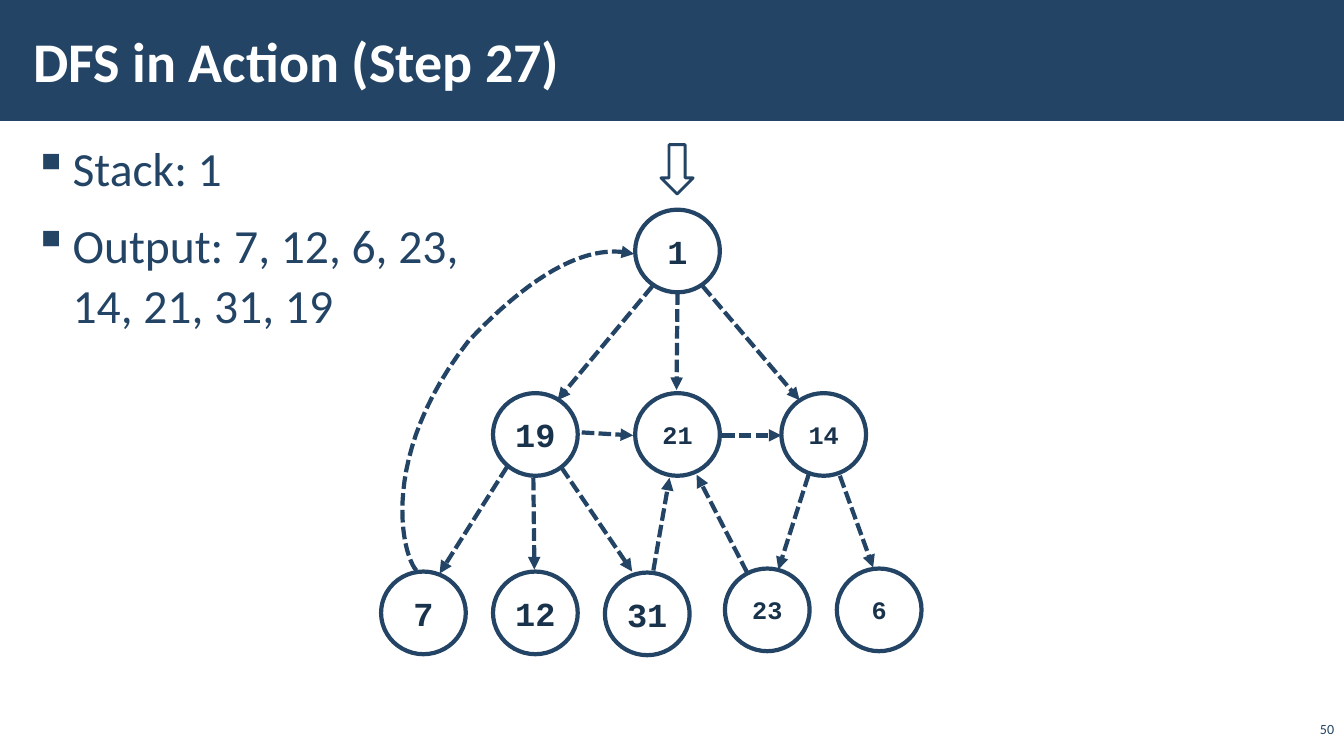
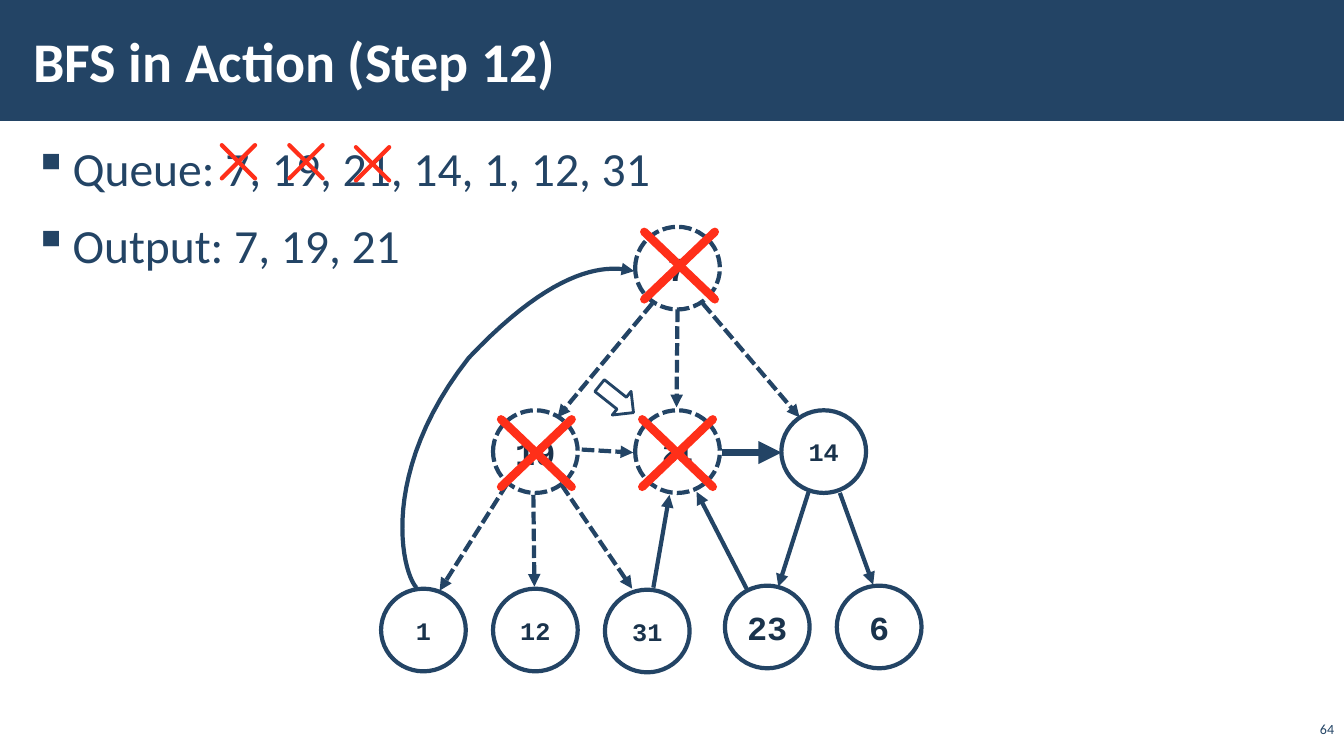
from lxml.etree import SubElement
from pptx import Presentation
from pptx.dml.color import RGBColor
from pptx.enum.dml import MSO_LINE
from pptx.enum.shapes import MSO_CONNECTOR, MSO_SHAPE
from pptx.enum.text import MSO_ANCHOR, PP_ALIGN
from pptx.oxml.ns import qn
from pptx.util import Inches, Pt

NAVY = RGBColor(0x23, 0x44, 0x65)
INK = RGBColor(0x1A, 0x33, 0x4C)
RED = RGBColor(0xFF, 0x2F, 0x19)
WHITE = RGBColor(0xFF, 0xFF, 0xFF)

NODE_WIDTH, NODE_HEIGHT = 0.84, 0.82
NODES = {
    "root": (6.3, 2.08),
    "left": (4.89, 3.9),
    "middle": (6.3, 3.9),
    "right": (7.75, 3.9),
    "leaf 1": (3.78, 5.67),
    "leaf 2": (4.89, 5.67),
    "leaf 3": (6, 5.68),
    "leaf 4": (7.19, 5.64),
    "leaf 5": (8.3, 5.64),
}
EDGES = {
    ("root", "left"): (6.47, 2.84, 5.53, 3.97),
    ("root", "middle"): (6.72, 2.9, 6.71, 3.87),
    ("root", "right"): (6.97, 2.84, 7.93, 3.97),
    ("left", "middle"): (5.77, 4.29, 6.28, 4.32),
    ("left", "leaf 1"): (5.03, 4.63, 4.36, 5.69),
    ("left", "leaf 2"): (5.29, 4.74, 5.3, 5.65),
    ("left", "leaf 3"): (5.57, 4.64, 6.27, 5.67),
    ("middle", "right"): (7.16, 4.32, 7.75, 4.32),
    ("right", "leaf 4"): (8.02, 4.71, 7.72, 5.65),
    ("right", "leaf 5"): (8.33, 4.72, 8.66, 5.63),
    ("leaf 3", "middle"): (6.48, 5.66, 6.64, 4.74),
    ("leaf 4", "middle"): (7.41, 5.68, 6.91, 4.71),
}
BACK_EDGE = (
    ((4.13, 5.66), (3.98, 5.49), (3.76, 4.51), (4.65, 3.38)),
    ((4.65, 3.38), (5.54, 2.44), (6.04, 2.46), (6.29, 2.52)),
)


def curve_point(controls, t):
    """Return the point of a cubic curve at t."""
    weights = ((1 - t) ** 3, 3 * t * (1 - t) ** 2, 3 * t * t * (1 - t), t ** 3)
    return tuple(sum(weight * point[axis] for weight, point in zip(weights, controls))
                 for axis in (0, 1))


class GraphDeck:
    """Holds the style and the current slide of a graph traversal deck."""

    def __init__(self):
        self.deck = Presentation()
        self.deck.slide_width, self.deck.slide_height = Inches(13.33), Inches(7.5)
        self.page = None

    def start_page(self, heading, number, bullets):
        self.page = self.deck.slides.add_slide(self.deck.slide_layouts[5])
        title = self.page.shapes.title
        band = self.shape(MSO_SHAPE.RECTANGLE, 0, 0, 13.33, 1.2)
        band.fill.solid()
        band.fill.fore_color.rgb = NAVY
        band.line.fill.background()
        title.element.addprevious(band.element)
        title.left, title.top = Inches(0.21), Inches(0.11)
        title.width, title.height = Inches(10.63), Inches(0.97)
        self.frame(title, MSO_ANCHOR.MIDDLE)
        title.text_frame.text = heading
        self.style(title.text_frame.paragraphs[0], 40, WHITE, bold=True)
        self.bullets(bullets)
        box = self.page.shapes.add_textbox(Inches(12.86), Inches(7.14), Inches(0.47), Inches(0.22))
        box.text_frame.word_wrap = True
        box.text_frame.vertical_anchor = MSO_ANCHOR.BOTTOM
        box.text_frame.text = str(number)
        self.style(box.text_frame.paragraphs[0], 10, NAVY, PP_ALIGN.RIGHT)

    def frame(self, box, anchor):
        frame = box.text_frame
        frame.word_wrap = True
        frame.vertical_anchor = anchor
        frame.margin_left = frame.margin_right = Inches(0.12)
        frame.margin_top = frame.margin_bottom = Inches(0.04)
        return frame

    def style(self, para, size, color, align=PP_ALIGN.LEFT, bold=False, font="Calibri"):
        para.alignment = align
        para.font.name, para.font.size, para.font.bold = font, Pt(size), bold
        para.font.color.rgb = color

    def bullets(self, entries):
        box = self.page.shapes.add_textbox(Inches(0.21), Inches(1.31), Inches(12.92), Inches(6.05))
        frame = self.frame(box, MSO_ANCHOR.TOP)
        for index, entry in enumerate(entries):
            para = frame.add_paragraph() if index else frame.paragraphs[0]
            para.text = entry
            properties = para._p.get_or_add_pPr()
            properties.set("marL", str(Inches(0.39)))
            properties.set("indent", str(Inches(-0.39)))
            SubElement(properties, qn("a:buChar")).set("char", "▪")
            para.line_spacing = 1.05
            para.space_before, para.space_after = Pt(6 if index else 0), Pt(6)
            self.style(para, 34, NAVY)

    def shape(self, kind, left, top, width, height):
        shape = self.page.shapes.add_shape(
            kind, Inches(left), Inches(top), Inches(width), Inches(height))
        shape.shadow.inherit = False
        return shape

    def veil(self, shape, opacity):
        shape.fill.solid()
        shape.fill.fore_color.rgb = WHITE
        color = shape.element.spPr.find(qn("a:solidFill"))[0]
        SubElement(color, qn("a:alpha")).set("val", str(opacity * 1000))

    def stroke(self, shape, width=3, color=NAVY, dashed=False, arrow=False, cap="flat"):
        shape.line.color.rgb = color
        shape.line.width = Pt(width)
        if dashed:
            shape.line.dash_style = MSO_LINE.SQUARE_DOT
        outline = shape.element.spPr.find(qn("a:ln"))
        outline.set("cap", cap)
        if arrow:
            SubElement(outline, qn("a:tailEnd")).set("type", "triangle")

    def line(self, left, top, right, bottom, **look):
        line = self.page.shapes.add_connector(
            MSO_CONNECTOR.STRAIGHT, Inches(left), Inches(top), Inches(right), Inches(bottom))
        self.stroke(line, **look)
        SubElement(line.element.spPr, qn("a:effectLst"))

    def node(self, left, top, label, size, dashed):
        node = self.shape(MSO_SHAPE.OVAL, left, top, NODE_WIDTH, NODE_HEIGHT)
        self.veil(node, 70)
        self.stroke(node, dashed=dashed)
        frame = node.text_frame
        frame.word_wrap = False
        frame.vertical_anchor = MSO_ANCHOR.MIDDLE
        frame.text = label
        self.style(frame.paragraphs[0], size, INK, PP_ALIGN.CENTER, True, "Courier New")

    def back_edge(self, drop, dashed):
        steps = 24
        points = [curve_point(part, step / steps)
                  for part in BACK_EDGE for step in range(steps + 1)]
        spots = [(Inches(x), Inches(y + drop)) for x, y in points]
        builder = self.page.shapes.build_freeform(*spots[0])
        builder.add_line_segments(spots[1:], close=False)
        curve = builder.convert_to_shape()
        curve.shadow.inherit = False
        curve.fill.background()
        self.stroke(curve, dashed=dashed, arrow=True)

    def graph(self, labels, large, walked, drop=0, visited=(), current=None):
        for (name, (left, top)), label in zip(NODES.items(), labels):
            self.node(left, top + drop, label, 24 if name in large else 18, name in visited)
        for edge, (left, top, right, bottom) in EDGES.items():
            self.line(left, top + drop, right, bottom + drop, arrow=True,
                      dashed=edge[0] in walked, width=5.5 if edge == current else 3)
        self.back_edge(drop, "leaf 1" in walked)

    def cross(self, left, top, width, height, weight):
        right, bottom = left + width, top + height
        for start, end in ((left, right), (right, left)):
            self.line(start, top, end, bottom, color=RED, width=weight, cap="rnd")

    def pointer(self, left, top, width, height, angle):
        pointer = self.shape(MSO_SHAPE.RIGHT_ARROW, left, top, width, height)
        pointer.rotation = angle
        self.veil(pointer, 50)
        self.stroke(pointer, width=2)


def main():
    show = GraphDeck()

    show.start_page("DFS in Action (Step 27)", 50,
                    ["Stack: 1", "Output: 7, 12, 6, 23,\v14, 21, 31, 19"])
    show.graph(["1", "19", "21", "14", "7", "12", "31", "23", "6"],
               large={"root", "left", "leaf 1", "leaf 2", "leaf 3"}, walked=set(NODES))
    show.pointer(6.47, 1.52, 0.49, 0.32, 90)

    show.start_page("BFS in Action (Step 12)", 64,
                    ["Queue: 7, 19, 21, 14, 1, 12, 31", "Output: 7, 19, 21"])
    show.graph(["7", "19", "21", "14", "1", "12", "31", "23", "6"],
               large={"root", "left", "leaf 4", "leaf 5"}, walked={"root", "left"},
               drop=0.17, visited={"root", "left", "middle"}, current=("middle", "right"))
    for left, top in ((2.2, 1.44), (2.87, 1.44), (3.53, 1.46)):
        show.cross(left, top, 0.33, 0.33, 3)
    for left, top in ((6.39, 2.3), (4.97, 4.16), (6.37, 4.16)):
        show.cross(left, top, 0.7, 0.67, 6)
    show.pointer(5.9, 3.81, 0.43, 0.3, 38.5)

    show.deck.save("out.pptx")


if __name__ == "__main__":
    main()
